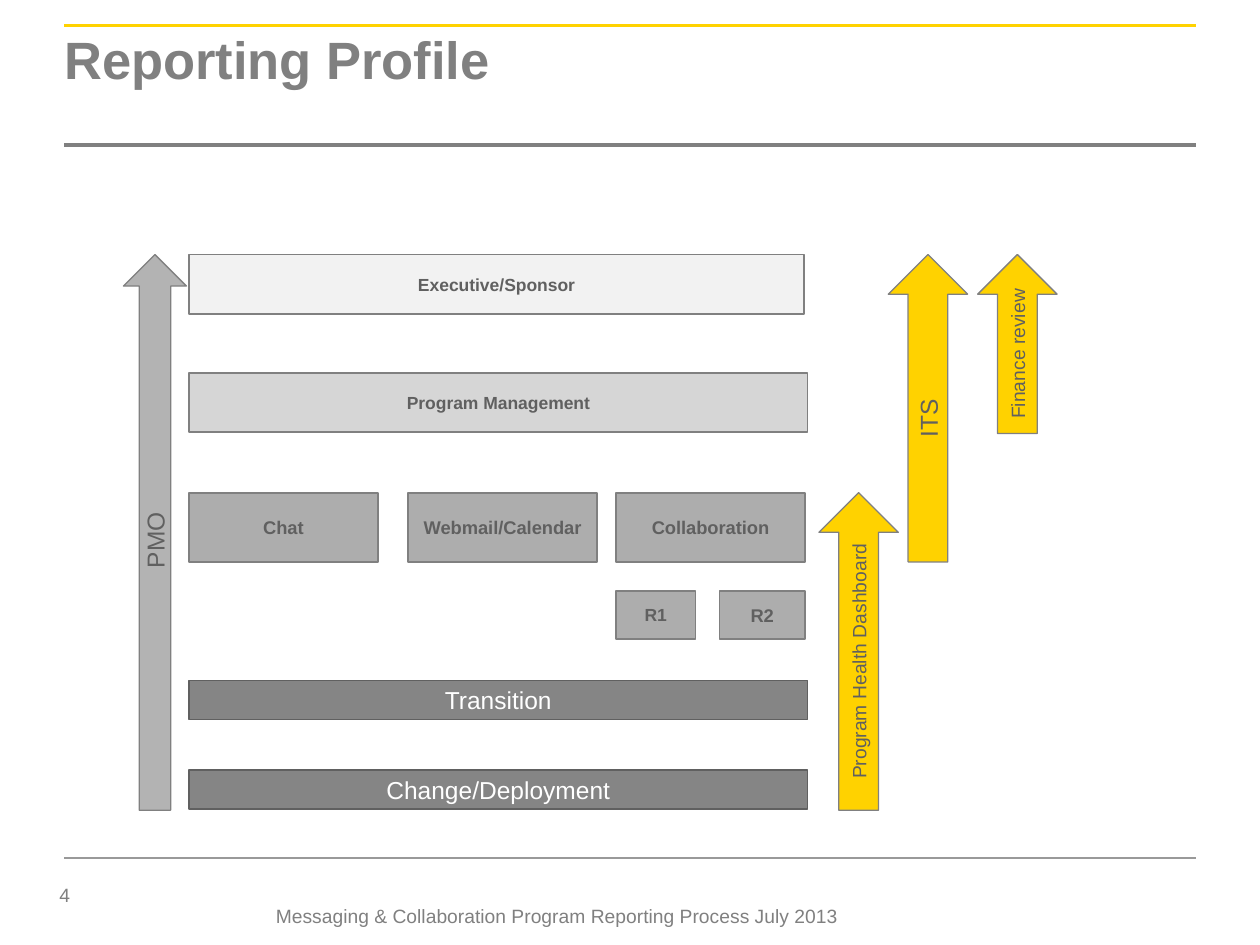
import lxml.etree
import pptx
import pptx.dml.color
import pptx.enum.shapes
import pptx.enum.text
import pptx.oxml.ns
import pptx.util

Inches = pptx.util.Inches
SHAPES = pptx.enum.shapes.MSO_SHAPE
ALIGN = pptx.enum.text.PP_ALIGN
ANCHOR = pptx.enum.text.MSO_ANCHOR

COLORS = {
    "yellow": "FFD200", "rule": "999999", "gray": "808080", "text": "606060",
    "white": "FFFFFF", "pale": "F2F2F2", "light": "D6D6D6", "medium": "ADADAD",
    "dark": "858585", "arrow": "B3B3B3",
}

TITLE = "Reporting Profile"
PAGE_NUMBER = "4"
FOOTER = "Messaging & Collaboration Program Reporting Process July 2013"

# Rules: top, color, width in points
RULES = [(0.2, "yellow", 1.5), (1.15, "gray", 2), (6.81, "rule", 1.5)]
RULE_LEFT, RULE_RIGHT = 0.51, 9.49

# Rows of the profile: top, height, fill, line, font format, [(label, left, width)]
LEFT, FULL_WIDTH, TRACK_WIDTH = 1.5, 4.91, 1.5
COLLABORATION_LEFT = 4.89
HEADING = {"size": 10, "bold": True, "color": "text"}
TRACK = {"size": 10.5, "bold": True, "color": "text"}
BAND = {"size": 14, "bold": False, "color": "white"}
ROWS = [
    (2.02, 0.47, "pale", "gray", HEADING, [("Executive/Sponsor", LEFT, 4.88)]),
    (2.96, 0.47, "light", "gray", HEADING, [("Program Management", LEFT, FULL_WIDTH)]),
    (3.91, 0.55, "medium", "gray", TRACK, [
        ("Chat", LEFT, TRACK_WIDTH),
        ("Webmail/Calendar", 3.24, TRACK_WIDTH),
        ("Collaboration", COLLABORATION_LEFT, TRACK_WIDTH),
    ]),
    (4.69, 0.38, "medium", "gray", HEADING, [("R1", COLLABORATION_LEFT, 0.63)]),
    (4.69, 0.38, "medium", "gray", TRACK, [("R2", 5.71, 0.68)]),
    (5.4, 0.31, "dark", "text", BAND, [("Transition", LEFT, FULL_WIDTH)]),
    (6.11, 0.31, "dark", "text", BAND, [("Change/Deployment", LEFT, FULL_WIDTH)]),
]

# Reporting arrows: label, left, top, width, height, fill, text size
ARROWS = [
    ("PMO", 0.98, 2.02, 0.5, 4.41, "arrow", 14),
    ("Program Health Dashboard", 6.5, 3.91, 0.63, 2.52, "yellow", 11),
    ("ITS", 7.05, 2.02, 0.63, 2.44, "yellow", 14),
    ("Finance review", 7.76, 2.02, 0.63, 1.42, "yellow", 11),
]


def rgb(name):
    return pptx.dml.color.RGBColor.from_string(COLORS[name])


def set_all(target, values):
    for name, value in values.items():
        setattr(target, name, value)


def write(frame, text, size, color, bold=False, align=ALIGN.CENTER,
          anchor=ANCHOR.MIDDLE, inset=0.08):
    set_all(frame, {"word_wrap": True, "vertical_anchor": anchor})
    set_all(frame, {f"margin_{side}": Inches(inset)
                    for side in ("left", "top", "right", "bottom")})
    para = frame.paragraphs[0]
    para.alignment = align
    span = para.add_run()
    span.text = text
    set_all(span.font, {"name": "Arial", "size": pptx.util.Pt(size), "bold": bold})
    span.font.color.rgb = rgb(color)
    return para


def add_box(slide, kind, place, fill, line=None, line_width=1):
    box = slide.shapes.add_shape(kind, *map(Inches, place))
    box.shadow.inherit = False
    box.fill.solid()
    box.fill.fore_color.rgb = rgb(fill)
    if line:
        box.line.color.rgb = rgb(line)
        box.line.width = pptx.util.Pt(line_width)
    else:
        box.line.fill.background()
    return box


def add_rule(slide, top, color, width):
    rule = slide.shapes.add_connector(
        pptx.enum.shapes.MSO_CONNECTOR.STRAIGHT,
        Inches(RULE_LEFT), Inches(top), Inches(RULE_RIGHT), Inches(top))
    rule.line.color.rgb = rgb(color)
    rule.line.width = pptx.util.Pt(width)
    lxml.etree.SubElement(rule.element.spPr, pptx.oxml.ns.qn("a:effectLst"))


def main():
    deck = pptx.Presentation()
    set_all(deck, {"slide_width": Inches(10), "slide_height": Inches(7.5)})
    slide = deck.slides.add_slide(deck.slide_layouts[5])

    # Page frame and title
    for rule in RULES:
        add_rule(slide, *rule)
    title = slide.shapes.title
    set_all(title, {"left": Inches(RULE_LEFT), "top": Inches(0.29),
                    "width": Inches(8.99), "height": Inches(0.86)})
    title.text_frame.auto_size = pptx.enum.text.MSO_AUTO_SIZE.NONE
    para = write(title.text_frame, TITLE, 30, "gray", bold=True,
                 align=ALIGN.LEFT, anchor=ANCHOR.TOP, inset=0)
    para.line_spacing = 0.85

    # Profile rows
    for top, height, fill, line, font, cells in ROWS:
        for label, left, width in cells:
            box = add_box(slide, SHAPES.RECTANGLE, (left, top, width, height), fill, line)
            write(box.text_frame, label, **font)

    # Reporting arrows with text that reads upwards
    for label, left, top, width, height, fill, size in ARROWS:
        arrow = add_box(slide, SHAPES.UP_ARROW, (left, top, width, height),
                        fill, "gray", 0.75)
        write(arrow.text_frame, label, size, "text")
        arrow.element.txBody.bodyPr.set("vert", "vert270")

    # Page number and footer
    for text, place, align in [
        (PAGE_NUMBER, (0.2, 6.98, 0.63, 0.24), ALIGN.CENTER),
        (FOOTER, (2.09, 7.21, 4.72, 0.12), ALIGN.LEFT),
    ]:
        box = add_box(slide, SHAPES.RECTANGLE, place, "white")
        write(box.text_frame, text, 11, "gray", align=align, inset=0.1)
        set_all(box.text_frame, {"margin_top": Inches(0.05), "margin_bottom": Inches(0.05)})

    deck.save("out.pptx")


if __name__ == "__main__":
    main()
